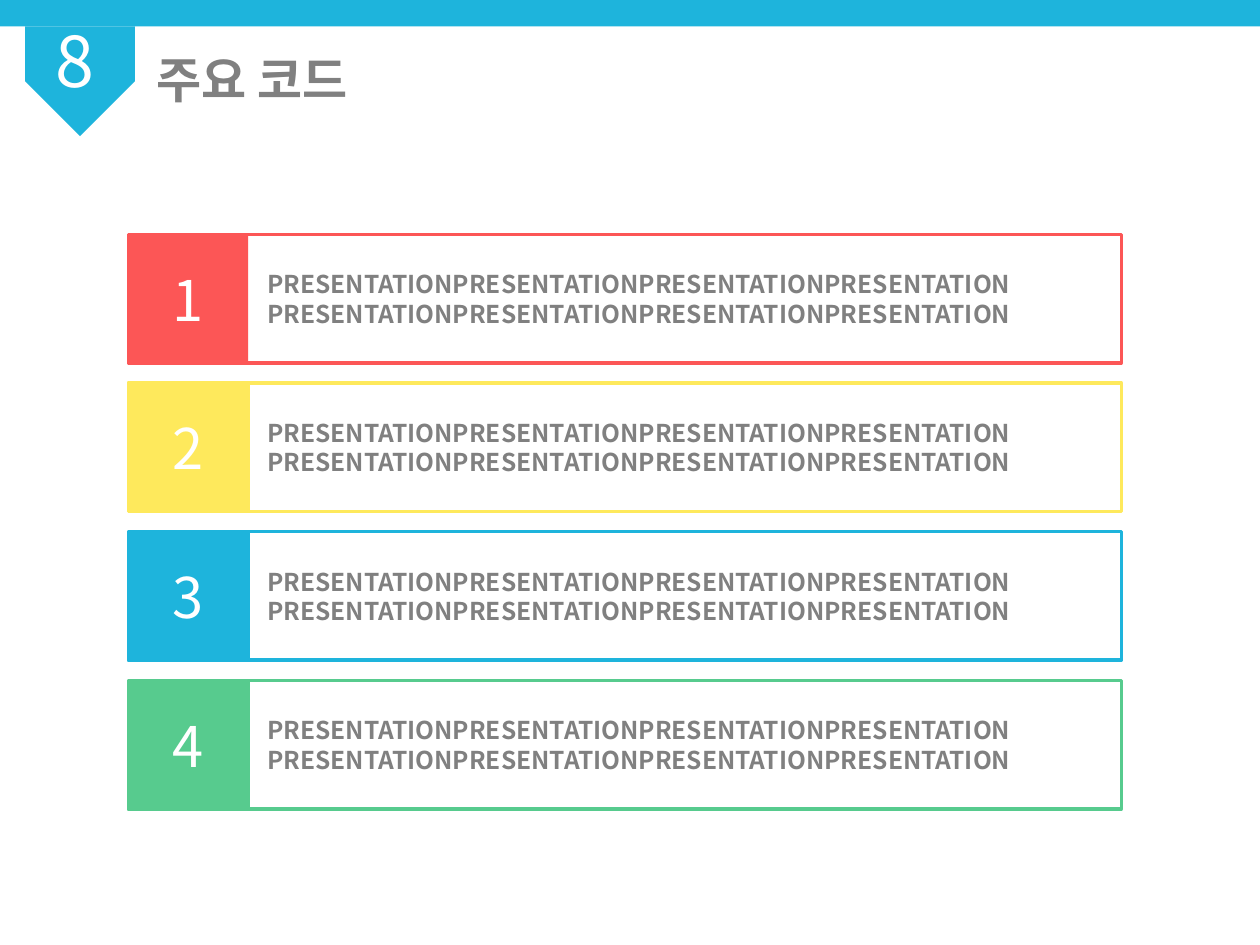
from dataclasses import dataclass

from pptx import Presentation
from pptx.dml.color import RGBColor
from pptx.enum.shapes import MSO_SHAPE
from pptx.enum.text import MSO_ANCHOR, PP_ALIGN
from pptx.util import Inches, Pt

RECTANGLE = MSO_SHAPE.RECTANGLE
RIBBON = MSO_SHAPE.SNIP_2_SAME_RECTANGLE
TOP, MIDDLE = MSO_ANCHOR.TOP, MSO_ANCHOR.MIDDLE
LEFT, CENTER = PP_ALIGN.LEFT, PP_ALIGN.CENTER


@dataclass(frozen=True)
class Theme:
    font: str = "Noto Sans CJK KR"
    blue: str = "1EB4DC"
    red: str = "FC5656"
    yellow: str = "FEE95C"
    green: str = "57CB8E"
    grey: str = "808080"
    white: str = "FFFFFF"
    title_size: int = 28
    section_size: int = 40
    number_size: int = 32
    body_size: int = 14
    border: int = 2


THEME = Theme()

# Row grid, in inches
ROW_LEFT, ROW_TOP = 1.02, 1.86
ROW_WIDTH, ROW_HEIGHT = 7.88, 1.02
ROW_PITCH = 1.18
NUMBER_WIDTH = 0.95
BODY_INDENT = 1.1

BODY_LINE = "PRESENTATION" * 4
ROW_COLOURS = (THEME.red, THEME.yellow, THEME.blue, THEME.green)


def write(box, text, size, colour, bold=False, align=LEFT, anchor=TOP):
    """Set the text of a box and format every run alike."""
    frame = box.text_frame
    frame.text = text
    frame.word_wrap = True
    frame.vertical_anchor = anchor
    for para in frame.paragraphs:
        para.alignment = align
        for span in para.runs:
            span.font.name = THEME.font
            span.font.size = Pt(size)
            span.font.bold = bold
            span.font.color.rgb = RGBColor.from_string(colour)


def add_block(shapes, kind, area, fill=None, line=None):
    """Add a flat preset shape with an optional fill and border."""
    block = shapes.add_shape(kind, *map(Inches, area))
    block.shadow.inherit = False
    if fill:
        block.fill.solid()
        block.fill.fore_color.rgb = RGBColor.from_string(fill)
    else:
        block.fill.background()
    if line:
        block.line.color.rgb = RGBColor.from_string(line)
        block.line.width = Pt(THEME.border)
    else:
        block.line.fill.background()
    return block


def add_title(page, text):
    title = page.shapes.title
    title.left, title.top = Inches(1.14), Inches(0.34)
    title.width, title.height = Inches(7), Inches(0.74)
    write(title, text, THEME.title_size, THEME.grey, bold=True)
    title.text_frame.paragraphs[0].space_before = Pt(7)


def add_section_mark(page, number):
    """Top band with a ribbon that carries the section number."""
    add_block(page.shapes, RECTANGLE, (0, 0, 10, 0.21), THEME.blue)
    ribbon = add_block(page.shapes, RIBBON, (0.2, 0.21, 0.87, 0.87), THEME.blue)
    ribbon.adjustments[0], ribbon.adjustments[1] = 0.5, 0
    ribbon.rotation = 180
    box = page.shapes.add_textbox(*map(Inches, (0.34, 0.09, 0.68, 0.77)))
    write(box, number, THEME.section_size, THEME.white)


def add_row(page, index, colour):
    """Outlined text panel with a coloured number cell at its left."""
    top = ROW_TOP + index * ROW_PITCH
    row = page.shapes.add_group_shape()
    panel = add_block(row.shapes, RECTANGLE,
                      (ROW_LEFT, top, ROW_WIDTH, ROW_HEIGHT), line=colour)
    write(panel, f"{BODY_LINE}\n{BODY_LINE}", THEME.body_size, THEME.grey,
          bold=True, anchor=MIDDLE)
    panel.text_frame.margin_left = Inches(BODY_INDENT)

    # The first number cell has no border of its own
    cell = add_block(row.shapes, RECTANGLE,
                     (ROW_LEFT, top, NUMBER_WIDTH, ROW_HEIGHT),
                     fill=colour, line=colour if index else None)
    write(cell, str(index + 1), THEME.number_size, THEME.white,
          align=CENTER, anchor=MIDDLE)


def main():
    deck = Presentation()
    deck.slide_width, deck.slide_height = Inches(10), Inches(7.5)
    page = deck.slides.add_slide(deck.slide_layouts[5])
    add_title(page, "주요 코드")
    add_section_mark(page, "8")
    for index, colour in enumerate(ROW_COLOURS):
        add_row(page, index, colour)
    deck.save("out.pptx")


if __name__ == "__main__":
    main()
